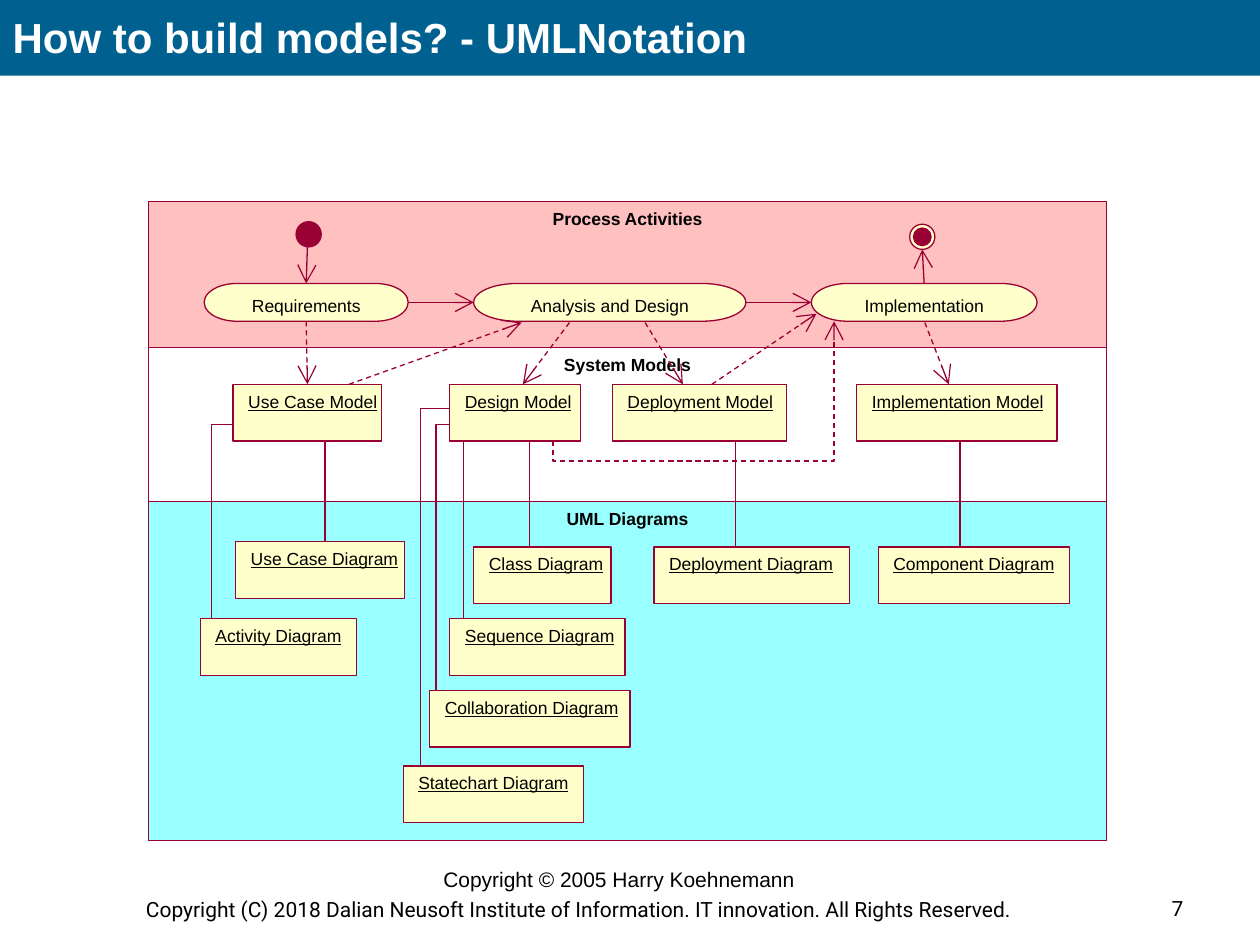
import dataclasses

import lxml.etree
import pptx
import pptx.dml.color
import pptx.enum.dml
import pptx.enum.shapes
import pptx.enum.text
import pptx.oxml.ns
import pptx.util

SHAPE = pptx.enum.shapes.MSO_SHAPE
ALIGN = pptx.enum.text.PP_ALIGN
ANCHOR = pptx.enum.text.MSO_ANCHOR
TOP, LEFT, BOTTOM, RIGHT = range(4)
COLUMNS, ROWS = 100, 75
BOX_ROWS = 4.5
MODEL_ROW = 30.5
PILL_ROW, PILL_ROWS = 22.5, 3


@dataclasses.dataclass(frozen=True)
class Theme:
    header: str = "006191"
    ink: str = "990033"
    note: str = "FFFFCC"
    process: str = "FFC0C0"
    models: str = "FFFFFF"
    diagrams: str = "99FFFF"
    text: str = "000000"
    title_text: str = "FFFFFF"
    font: str = "Arial"
    footer_font: str = "Roboto"
    title_size: int = 24
    footer_size: int = 12
    label_size: int = 10
    outline: float = 0
    stroke: float = 0.75


THEME = Theme()

BANDS = [
    ("System Models", 27.6, 12.2, THEME.models),
    ("UML Diagrams", 39.8, 26.9, THEME.diagrams),
    ("Process Activities", 16, 11.6, THEME.process),
]
ACTIVITIES = [
    ("Requirements", 16.2, 16.2),
    ("Analysis and Design", 37.6, 21.6),
    ("Implementation", 64.4, 17.9),
]
BOXES = [
    ("Use Case Model", 18.5, MODEL_ROW, 11.8),
    ("Design Model", 35.7, MODEL_ROW, 10.4),
    ("Deployment Model", 48.6, MODEL_ROW, 13.8),
    ("Implementation Model", 68, MODEL_ROW, 15.9),
    ("Use Case Diagram", 18.7, 43, 13.4),
    ("Class Diagram", 37.6, 43.4, 10.9),
    ("Deployment Diagram", 51.9, 43.4, 15.5),
    ("Component Diagram", 69.7, 43.4, 15.2),
    ("Activity Diagram", 15.9, 49.1, 12.4),
    ("Sequence Diagram", 35.7, 49.1, 13.9),
    ("Collaboration Diagram", 34.1, 54.8, 15.9),
    ("Statechart Diagram", 32, 60.8, 14.3),
]
JOINED_ARROWS = [
    ("Requirements", RIGHT, "Analysis and Design", LEFT, False),
    ("Analysis and Design", RIGHT, "Implementation", LEFT, False),
    ("Requirements", BOTTOM, "Use Case Model", TOP, True),
]
DASHED_ARROWS = [
    ((27.7, 30.5), (41.4, 25.6)),
    ((45.2, 25.6), (41.5, 30.5)),
    ((51.2, 25.6), (54.2, 30.5)),
    ((56.5, 30.5), (64.8, 24.9)),
    ((73.4, 25.6), (75.3, 30.5)),
]
DROPS = [(25.8, 43), (42, 43.4), (36.8, 49.1), (58.4, 43.4), (76.2, 43.4)]
ELBOWS = [
    [(18.5, 33.7), (16.8, 33.7), (16.8, 49.1)],
    [(35.7, 33.7), (34.6, 33.7), (34.6, 54.8)],
    [(35.7, 32.4), (33.4, 32.4), (33.4, 60.8)],
]
FEEDBACK = [(43.9, 35), (43.9, 36.6), (66.2, 36.6), (66.2, 25.5)]


def grid(*cells):
    return [pptx.util.Inches(cell * 10 / COLUMNS) for cell in cells]


def rgb(value):
    return pptx.dml.color.RGBColor.from_string(value)


def write(shape, text, size=THEME.label_size, font=THEME.font, color=THEME.text,
          bold=False, underline=False, align=ALIGN.LEFT, anchor=ANCHOR.TOP,
          insets=(1, 0.5, 1, 0.5), wrap=False):
    frame = shape.text_frame
    frame.auto_size = pptx.enum.text.MSO_AUTO_SIZE.NONE
    frame.word_wrap = wrap
    frame.vertical_anchor = anchor
    (frame.margin_left, frame.margin_top,
     frame.margin_right, frame.margin_bottom) = grid(*insets)
    para = frame.paragraphs[0]
    para.alignment = align
    span = para.add_run()
    span.text = text
    span.font.name = font
    span.font.size = pptx.util.Pt(size)
    span.font.bold = bold
    span.font.underline = underline
    span.font.color.rgb = rgb(color)


def add_block(page, kind, cells, fill, outlined=True):
    shape = page.shapes.add_shape(kind, *grid(*cells))
    shape.shadow.inherit = False
    shape.fill.solid()
    shape.fill.fore_color.rgb = rgb(fill)
    if outlined:
        shape.line.color.rgb = rgb(THEME.ink)
        shape.line.width = pptx.util.Pt(THEME.outline)
    else:
        shape.line.fill.background()
    return shape


def style_stroke(shape, dashed=False, arrow=False):
    shape.line.color.rgb = rgb(THEME.ink)
    shape.line.width = pptx.util.Pt(THEME.stroke)
    if dashed:
        shape.line.dash_style = pptx.enum.dml.MSO_LINE.DASH
    if arrow:
        outline = shape.element.spPr.find(pptx.oxml.ns.qn("a:ln"))
        lxml.etree.SubElement(outline, pptx.oxml.ns.qn("a:tailEnd"),
                              type="arrow", w="lg", len="lg")


def add_link(page, start, end, dashed=False, arrow=False):
    link = page.shapes.add_connector(
        pptx.enum.shapes.MSO_CONNECTOR.STRAIGHT, *grid(*start, *end))
    style_stroke(link, dashed, arrow)
    lxml.etree.SubElement(link.element.spPr, pptx.oxml.ns.qn("a:effectLst"))
    return link


def add_bend(page, points, dashed=False, arrow=False):
    corners = [grid(*point) for point in points]
    builder = page.shapes.build_freeform(*corners[0], scale=1.0)
    builder.add_line_segments(corners[1:], close=False)
    bend = builder.convert_to_shape()
    bend.shadow.inherit = False
    bend.fill.background()
    style_stroke(bend, dashed, arrow)


def add_text(page, text, cells, **format):
    write(page.shapes.add_textbox(*grid(*cells)), text, size=THEME.footer_size, **format)


def add_header(page, text):
    title = page.shapes.title
    title.left, title.top, title.width, title.height = grid(0, 0, 80.3, 5.9)
    write(title, text, size=THEME.title_size, color=THEME.title_text, bold=True,
          anchor=ANCHOR.MIDDLE, wrap=True)
    bar = add_block(page, SHAPE.RECTANGLE, (0, 0, COLUMNS, 6), THEME.header, outlined=False)
    title.element.addprevious(bar.element)


def add_nodes(page):
    nodes = {}
    for text, row, rows, fill in BANDS:
        band = add_block(page, SHAPE.RECTANGLE, (11.8, row, 76, rows), fill)
        write(band, text, bold=True, align=ALIGN.CENTER, insets=(0, 0.5, 0, 0))
    for text, column, columns in ACTIVITIES:
        nodes[text] = add_block(page, SHAPE.FLOWCHART_TERMINATOR,
                                (column, PILL_ROW, columns, PILL_ROWS), THEME.note)
        write(nodes[text], text, align=ALIGN.CENTER, insets=(0, 0.5, 0, 0))
    for text, column, row, columns in BOXES:
        nodes[text] = add_block(page, SHAPE.RECTANGLE,
                                (column, row, columns, BOX_ROWS), THEME.note)
        write(nodes[text], text, underline=True, insets=(1.2, 0.5, 0, 0))
    add_block(page, SHAPE.OVAL, (23.5, 17.6, 2, 2), THEME.ink)
    add_block(page, SHAPE.OVAL, (72.2, 17.8, 2, 2), THEME.note)
    add_block(page, SHAPE.OVAL, (72.5, 18.1, 1.4, 1.4), THEME.ink)
    return nodes


def add_links(page, nodes):
    for source, source_side, target, target_side, dashed in JOINED_ARROWS:
        link = add_link(page, (0, 0), (1, 1), dashed, arrow=True)
        link.begin_connect(nodes[source], source_side)
        link.end_connect(nodes[target], target_side)
    entry = add_link(page, (24.4, 19.6), (24.5, 22.4), arrow=True)
    entry.end_connect(nodes["Requirements"], TOP)
    finish = add_link(page, (73.2, 22.4), (73.2, 19.8), arrow=True)
    finish.begin_connect(nodes["Implementation"], TOP)
    for start, end in DASHED_ARROWS:
        add_link(page, start, end, dashed=True, arrow=True)
    for column, row in DROPS:
        add_link(page, (column, MODEL_ROW + BOX_ROWS), (column, row))
    for points in ELBOWS:
        add_bend(page, points)
    add_bend(page, FEEDBACK, dashed=True, arrow=True)


def main():
    deck = pptx.Presentation()
    deck.slide_width, deck.slide_height = grid(COLUMNS, ROWS)
    page = deck.slides.add_slide(deck.slide_layouts[5])
    add_header(page, "How to build models? - UMLNotation")
    add_text(page, "Copyright (C) 2018 Dalian Neusoft Institute of Information. "
             "IT innovation. All Rights Reserved.", (10.6, 70.7, 82.8, 3),
             font=THEME.footer_font)
    add_text(page, "7", (92, 70.6, 4.1, 3), font=THEME.footer_font)
    add_text(page, "Copyright © 2005 Harry Koehnemann", (34.2, 68.3, 31.7, 5), wrap=True)
    add_links(page, add_nodes(page))
    deck.save("out.pptx")


if __name__ == "__main__":
    main()
